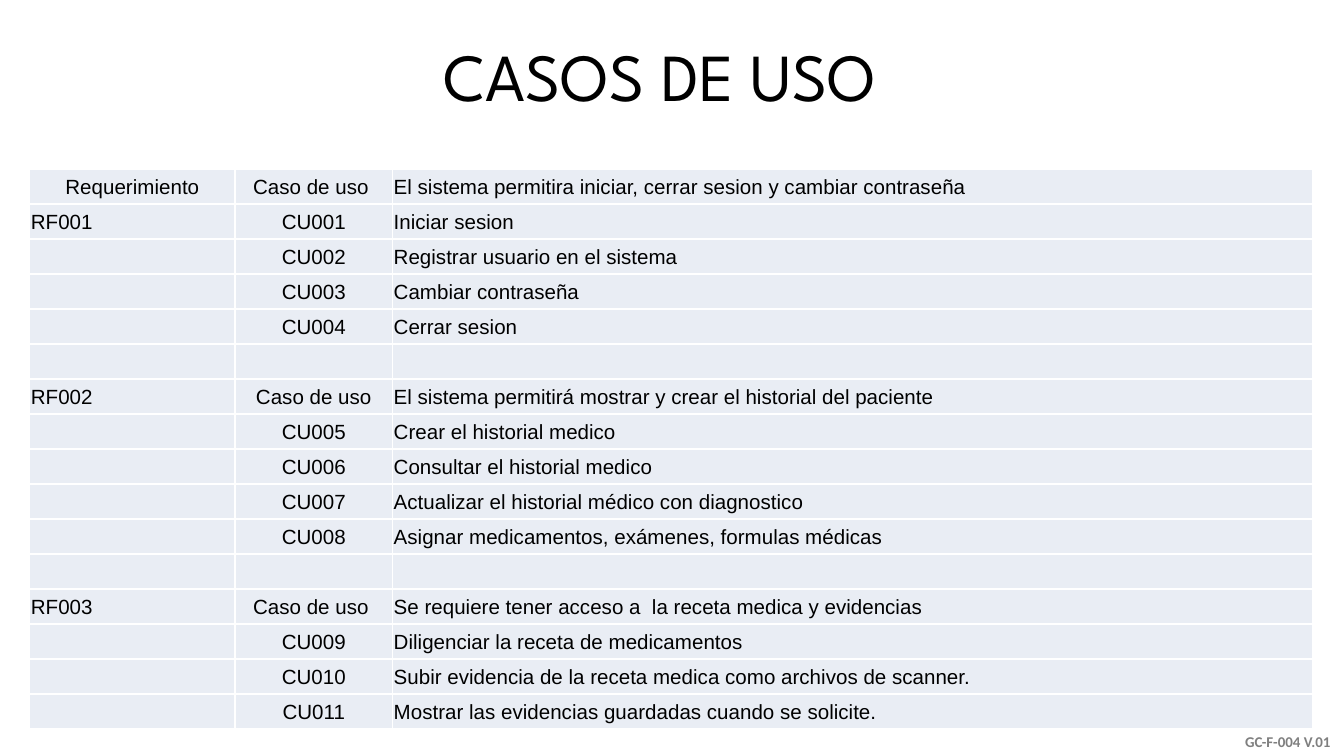
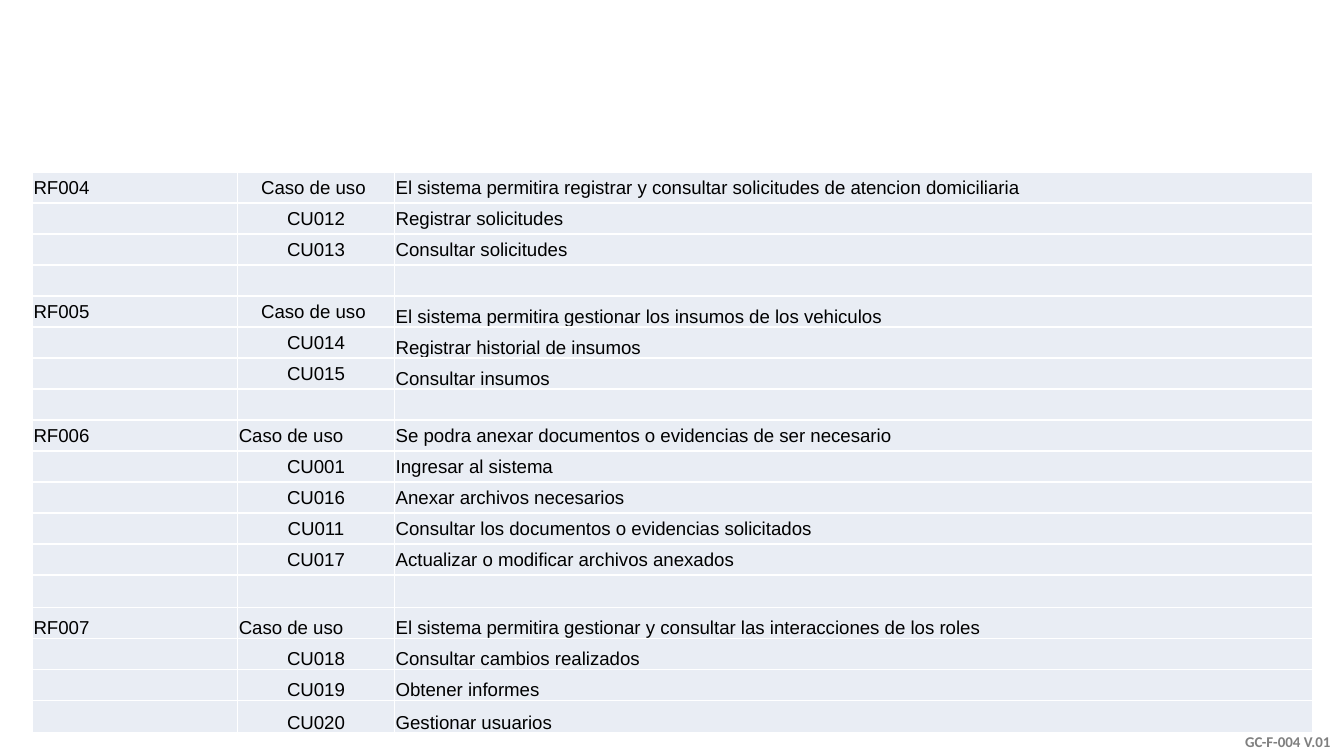
from itertools import product
from lxml import etree
from pptx import Presentation, util as u
from pptx.dml.color import RGBColor
from pptx.enum import text
from pptx.oxml.ns import qn

W = 10
H = W * 9 / 16
INK, GREY, PALE, WHITE = "000000", "7F7F7F", "E9EDF4", "FFFFFF"
LEFT, MID, RIGHT = text.PP_ALIGN.LEFT, text.PP_ALIGN.CENTER, text.PP_ALIGN.RIGHT
CENTER, LOW = text.MSO_ANCHOR.MIDDLE, text.MSO_ANCHOR.BOTTOM
COLS = (1.53, 1.17, 6.85)
GAP = ("", "", "")

FIRST = [
    ("Requerimiento", "Caso de uso ", "El sistema permitira iniciar, cerrar sesion y cambiar contraseña"),
    ("RF001", "CU001", "Iniciar sesion"),
    ("", "CU002", "Registrar usuario en el sistema"),
    ("", "CU003", "Cambiar contraseña"),
    ("", "CU004", "Cerrar sesion"),
    GAP,
    ("RF002", "Caso de uso", "El sistema permitirá mostrar y crear el historial del paciente"),
    ("", "CU005", "Crear el historial medico"),
    ("", "CU006", "Consultar el historial medico"),
    ("", "CU007", "Actualizar el historial médico con diagnostico"),
    ("", "CU008", "Asignar medicamentos, exámenes, formulas médicas"),
    GAP,
    ("RF003", "Caso de uso ", "Se requiere tener acceso a  la receta medica y evidencias"),
    ("", "CU009", "Diligenciar la receta de medicamentos"),
    ("", "CU010", "Subir evidencia de la receta medica como archivos de scanner."),
    ("", "CU011", "Mostrar las evidencias guardadas cuando se solicite."),
]
SECOND = [
    ("RF004", "Caso de uso ", "El sistema permitira registrar y consultar solicitudes de atencion domiciliaria"),
    ("", "CU012", "Registrar solicitudes"),
    ("", "CU013", "Consultar solicitudes"),
    GAP,
    ("RF005", "Caso de uso ", "El sistema permitira gestionar los insumos de los vehiculos"),
    ("", "CU014", "Registrar historial de insumos"),
    ("", "CU015", "Consultar insumos"),
    GAP,
    ("RF006", "Caso de uso", "Se podra anexar documentos o evidencias de ser necesario"),
    ("", "CU001", "Ingresar al sistema"),
    ("", "CU016", "Anexar archivos necesarios"),
    ("", "CU011", "Consultar los documentos o evidencias solicitados"),
    ("", "CU017", "Actualizar o modificar archivos anexados"),
    GAP,
    ("RF007", "Caso de uso", "El sistema permitira gestionar y consultar las interacciones de los roles"),
    ("", "CU018", "Consultar cambios realizados"),
    ("", "CU019", "Obtener informes"),
    ("", "CU020", "Gestionar usuarios"),
]


def paint(code):
    """Turn a hex string into a colour."""
    return RGBColor.from_string(code)


def write(frame, words, face, size, color, align, bold=False):
    """Fill a text frame with one styled paragraph."""
    frame.text = words
    para = frame.paragraphs[0]
    para.alignment = align
    for run in para.runs:
        font = run.font
        font.name, font.size, font.bold = face, u.Pt(size), bold
        font.color.rgb = paint(color)
    if not words:
        etree.SubElement(para._p, qn("a:endParaRPr"), sz=str(size * 100))


def label(slide, box, words, face, size, color, align, anchor, bold=False):
    """Add a text box at the given box."""
    frame = slide.shapes.add_textbox(*map(u.Inches, box)).text_frame
    frame.word_wrap, frame.vertical_anchor = True, anchor
    write(frame, words, face, size, color, align, bold)


def edge(cell):
    """Draw thin white borders, placed ahead of the fill."""
    props = cell._tc.get_or_add_tcPr()
    for spot, side in enumerate(("lnL", "lnR", "lnT", "lnB")):
        line = etree.Element(qn("a:" + side), w=str(u.Pt(1)))
        fill = etree.SubElement(line, qn("a:solidFill"))
        etree.SubElement(fill, qn("a:srgbClr"), val=WHITE)
        props.insert(spot, line)


def cases(slide, box, rows, size, mids=(), lefts=(), lows=(), tall=()):
    """Add the table of use cases, with cells that stray from its alignment."""
    table = slide.shapes.add_table(len(rows), len(COLS), *map(u.Inches, box)).table
    table.first_row = table.horz_banding = False
    for col, part in zip(table.columns, COLS):
        col.width = u.Inches(box[2] * part / sum(COLS))
    parts = [1.05 if r in tall else 1 for r in range(len(rows))]
    for row, part in zip(table.rows, parts):
        row.height = u.Inches(box[3] * part / sum(parts))
    for spot in product(range(len(rows)), range(len(COLS))):
        r, c = spot
        cell = table.cell(r, c)
        cell.margin_left = cell.margin_right = cell.margin_top = u.Inches(0.01)
        cell.margin_bottom = 0
        cell.vertical_anchor = LOW if spot in lows else CENTER
        cell.fill.solid()
        cell.fill.fore_color.rgb = paint(PALE)
        edge(cell)
        mid = spot in mids or (c == 1 and spot not in lefts)
        write(cell.text_frame, rows[r][c], "Arial", size, INK, MID if mid else LEFT)


def page(deck):
    """Add a blank slide with the shared footer."""
    slide = deck.slides.add_slide(deck.slide_layouts[6])
    for hold in list(slide.placeholders):
        hold.element.getparent().remove(hold.element)
    label(slide, (W - 1.63, 5.2, 1.63, 0.43), "GC-F-004 V.01",
          "Calibri", 8, GREY, RIGHT, LOW, True)
    return slide


def main():
    """Build and save the deck."""
    deck = Presentation()
    deck.slide_width, deck.slide_height = u.Inches(W), u.Inches(H)
    slide = page(deck)
    label(slide, (-0.09, 0.2, W, 0.71), "CASOS DE USO",
          "League Spartan", 36, INK, MID, CENTER)
    cases(slide, (0.22, 1.26, 9.55, 4.17), FIRST, 11, mids={(0, 0)})
    lows = {(r, 2) for r in range(4, 7)} | set(product(range(14, 18), range(3)))
    cases(page(deck), (0.24, 1.28, 9.53, 4.18), SECOND, 10,
          lefts={(8, 1), (14, 1)}, lows=lows, tall={13, 17})
    deck.save("out.pptx")


if __name__ == "__main__":
    main()
